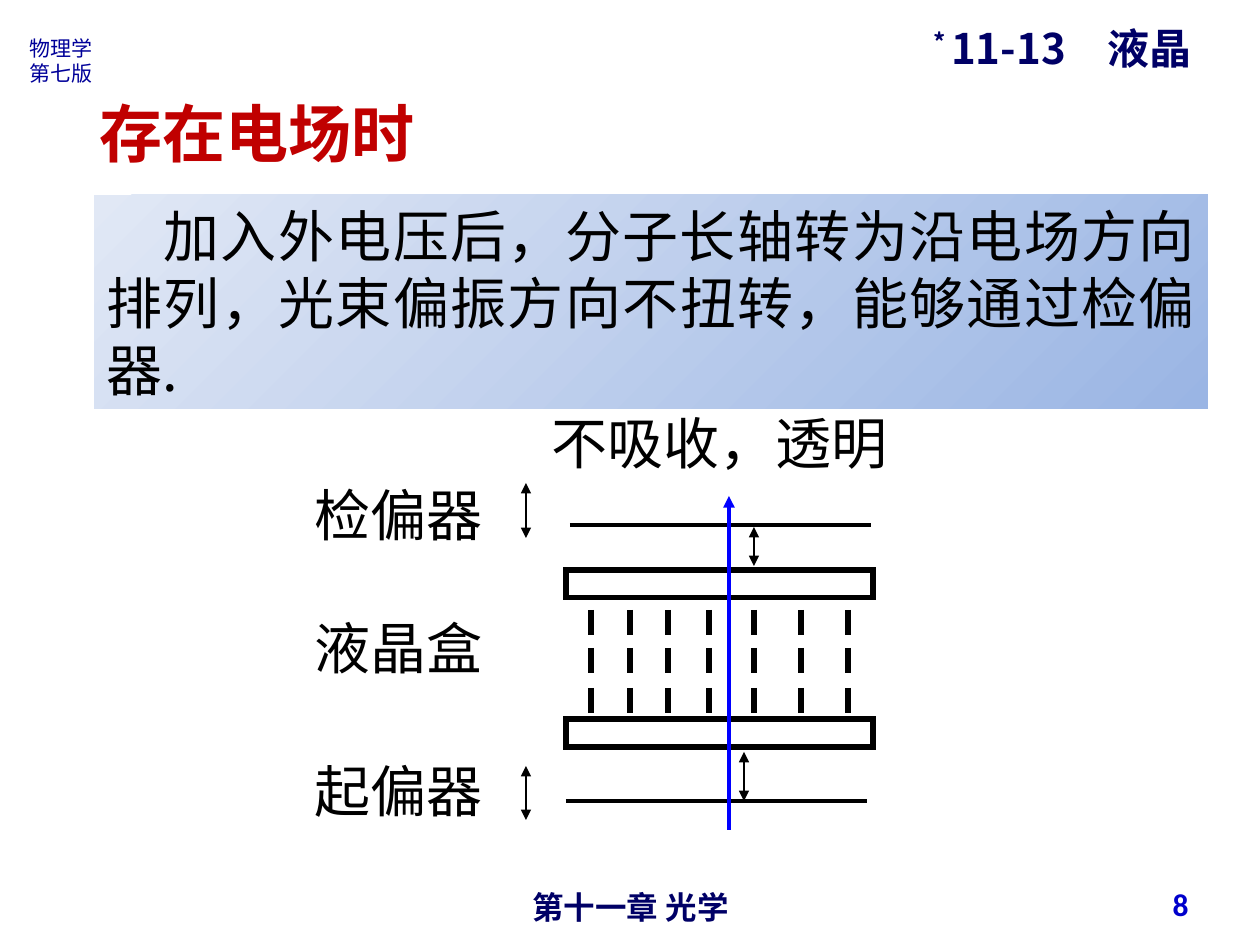
from lxml.etree import SubElement as Sub
from pptx import Presentation
from pptx.dml.color import RGBColor as RGB
from pptx.enum.shapes import MSO_CONNECTOR as CONN, MSO_SHAPE as SHAPE
from pptx.enum.text import MSO_ANCHOR as ANC, MSO_AUTO_SIZE as AUTO, PP_ALIGN as AL
from pptx.oxml.ns import qn
from pptx.util import Pt

COL = {"black": "000000", "blue": "0000FF", "red": "C00000", "navy": "000066",
       "ink": "000099", "num": "0000CC", "pale": "E1E8F5", "deep": "9AB5E4"}
NOTO = "Noto Sans CJK SC"

TITLE = ("存在电场时", (87, 88, 400, 88))
BODY = "加入外电压后，分子长轴转为沿电场方向排列，光束偏振方向不扭转，能够通过检偏器."
PANEL = (94, 195, 1114, 214)
INDENT = 57
HEAD = (("* ", "11-13　液晶"), (921, 16, 311, 63))
EDITION = (("物理学", "第七版"), (17, 29, 91, 63))
FOOT = ("第十一章 光学", (431, 882, 399, 37))
NUMBER = ("8", (907, 879, 294, 50))
CAPTION = ("不吸收，透明", (539, 402, 362, 81))
LABELS = [("检偏器", 474), ("液晶盒", 607), ("起偏器", 750)]
LABEL_X, LABEL_W, LABEL_H = 302, 193, 81

PLATES = [(566, 570, 307, 28), (566, 719, 307, 28)]
FILMS = [(566, 801, 867, 801), (570, 525, 871, 525)]
BEAM = (729, 830, 729, 496)
SWINGS = [(526, 820, 526, 766), (526, 538, 526, 483),
          (744, 801, 744, 752), (754, 566, 754, 527)]
ROD_X = [591, 630, 668, 709, 754, 801, 848]
ROD_Y = [610, 648, 688]
ROD_LEN = 25

UNIT = 914400 / 126


def px(*vals):
    return [round(v * UNIT) for v in vals]


def tint(name):
    return RGB.from_string(COL[name])


def style(para, size, color, face=NOTO, bold=False, align=AL.LEFT):
    para.alignment = align
    font = para.font
    font.size, font.bold, font.name = Pt(size), bold, face
    font.color.rgb = tint(color)
    Sub(para._p.pPr.find(qn("a:defRPr")), qn("a:ea"), typeface=NOTO)


def frame(shape, wrap, anchor=ANC.TOP):
    tf = shape.text_frame
    tf.word_wrap, tf.auto_size, tf.vertical_anchor = wrap, AUTO.NONE, anchor
    return tf


def write(slide, lines, box, size, color, wrap=False, anchor=ANC.TOP, **look):
    tf = frame(slide.shapes.add_textbox(*px(*box)), wrap, anchor)
    tf.text = "\n".join(lines)
    for para in tf.paragraphs:
        style(para, size, color, **look)
    return tf


def rule(slide, ends, width, color="black", tips=()):
    conn = slide.shapes.add_connector(CONN.STRAIGHT, *px(*ends))
    conn.line.width = Pt(width)
    conn.line.color.rgb = tint(color)
    for tip in tips:
        Sub(conn.line._get_or_add_ln(), qn("a:" + tip), type="triangle")
    Sub(conn._element.spPr, qn("a:effectLst"))


def rect(slide, box):
    shape = slide.shapes.add_shape(SHAPE.RECTANGLE, *px(*box))
    shape.shadow.inherit = False
    return shape


def head(slide):
    text, box = TITLE
    title = slide.shapes.title
    title.left, title.top, title.width, title.height = px(*box)
    tf = frame(title, True)
    tf.text = text
    style(tf.paragraphs[0], 36, "red", bold=True)

    write(slide, *EDITION, 12, "ink", wrap=True)
    write(slide, [FOOT[0]], FOOT[1], 18, "navy", wrap=True,
          face="Arial", bold=True, align=AL.CENTER)
    write(slide, [NUMBER[0]], NUMBER[1], 18, "num", wrap=True, anchor=ANC.MIDDLE,
          face="Calibri", bold=True, align=AL.RIGHT)

    (star, name), box = HEAD
    para = write(slide, [star], box, 24, "navy", bold=True).paragraphs[0]
    para.runs[0].font._element.set("baseline", "30000")
    para.add_run().text = name


def panel(slide):
    shape = rect(slide, PANEL)
    shape.line.fill.background()
    shape.fill.gradient()
    shape.fill.gradient_angle = 315
    for stop, name in zip(shape.fill.gradient_stops, ("pale", "deep")):
        stop.color.rgb = tint(name)
    tf = frame(shape, True)
    tf.text = BODY
    para = tf.paragraphs[0]
    style(para, 32, "black", align=AL.JUSTIFY)
    para._p.pPr.set("indent", str(px(INDENT)[0]))


def cell(slide):
    for box in PLATES:
        plate = rect(slide, box)
        plate.fill.background()
        plate.line.color.rgb = tint("black")
        plate.line.width = Pt(3)
        Sub(plate.line._get_or_add_ln(), qn("a:miter"), lim="800000")
    for ends in FILMS:
        rule(slide, ends, 2.25)
    rule(slide, BEAM, 2.25, "blue", ["tailEnd"])
    for x in ROD_X:
        for y in ROD_Y:
            rule(slide, (x, y, x, y + ROD_LEN), 3)
    for ends in SWINGS:
        rule(slide, ends, 1.5, tips=["headEnd", "tailEnd"])
    for text, y in LABELS:
        write(slide, [text], (LABEL_X, y, LABEL_W, LABEL_H), 32, "black", align=AL.CENTER)
    write(slide, [CAPTION[0]], CAPTION[1], 32, "black", align=AL.CENTER)


def main():
    deck = Presentation()
    deck.slide_width, deck.slide_height = px(1260, 945)
    slide = deck.slides.add_slide(deck.slide_layouts[5])
    head(slide)
    cell(slide)
    panel(slide)
    deck.save("out.pptx")


if __name__ == "__main__":
    main()
